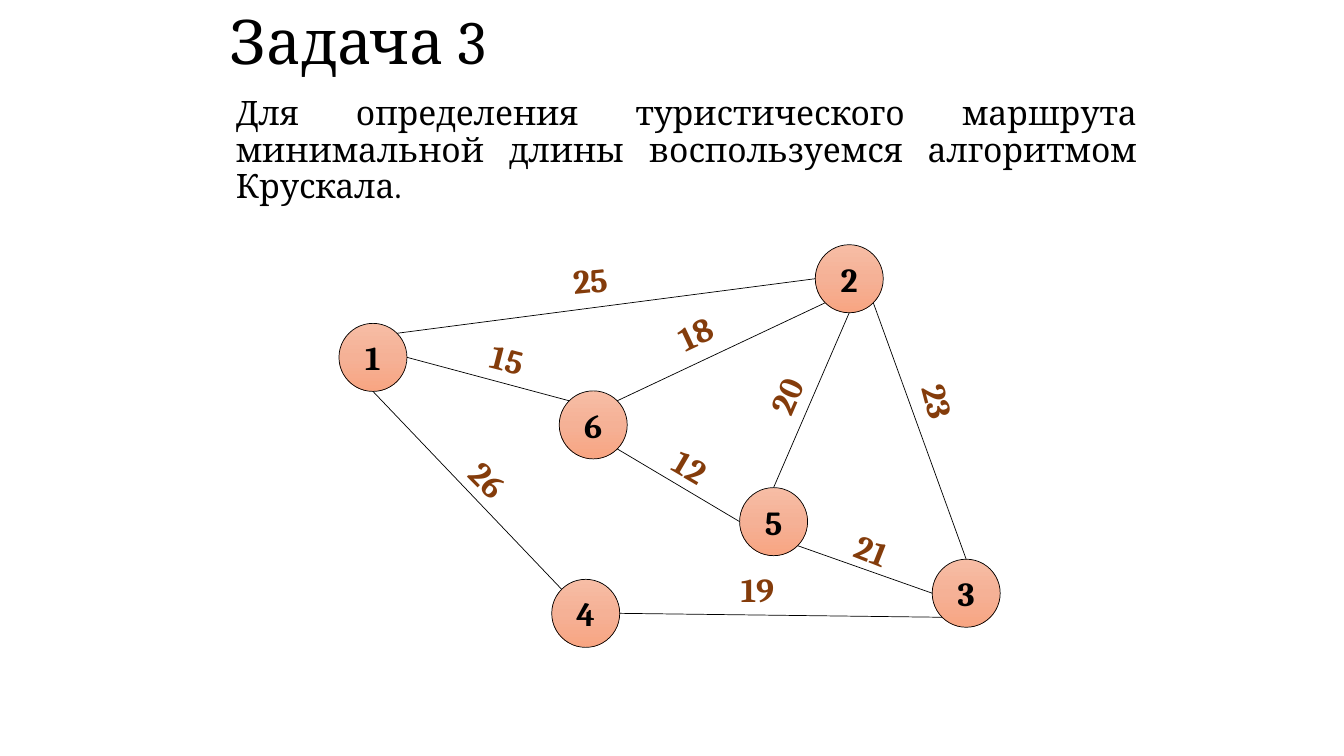
import copy
import math
from dataclasses import dataclass

import pptx
import pptx.dml.color
import pptx.enum.shapes
import pptx.enum.text
import pptx.oxml
import pptx.oxml.ns
import pptx.shapes.group
import pptx.text.text
import pptx.util

SLIDE_WIDTH = pptx.util.Inches(13.33)
SLIDE_HEIGHT = pptx.util.Inches(7.5)
GRID = 100
FONT = "Cambria"
BLACK = "000000"
WEIGHT_COLOR = "843C0B"
CITY_GRADIENT = ("F7BDA5", "F5B196", "F8A582")
CITY_COLUMNS, CITY_ROWS = 5.06, 9
WEIGHT_COLUMNS, WEIGHT_ROWS = 4.5, 6.8

ALIGN = pptx.enum.text.PP_ALIGN
ANCHOR = pptx.enum.text.MSO_ANCHOR

# Clockwise angles of the points where a road meets a city's circle
RIGHT, BOTTOM_RIGHT, BOTTOM, BOTTOM_LEFT = 0, 45, 90, 135
LEFT, TOP_LEFT, TOP, TOP_RIGHT = 180, 225, 270, 315


@dataclass(frozen=True)
class City:
    column: float
    row: float


@dataclass(frozen=True)
class Road:
    start: int
    start_side: int
    end: int
    end_side: int
    weight: int
    weight_column: float
    weight_row: float
    weight_rotation: float


CITIES = {
    1: City(27.75, 47.27),
    6: City(44.14, 56.2),
    5: City(57.56, 69),
    2: City(63.19, 36.87),
    3: City(71.89, 78.47),
    4: City(43.58, 81.13),
}

ROADS = (
    Road(1, TOP_RIGHT, 2, LEFT, 25, 43.91, 37, -5.6),
    Road(6, TOP_RIGHT, 2, BOTTOM_LEFT, 18, 51.71, 44, -25.2),
    Road(6, TOP_LEFT, 1, RIGHT, 15, 37.76, 47.4, 14.4),
    Road(6, BOTTOM_RIGHT, 5, LEFT, 12, 51.38, 61.67, 30.5),
    Road(2, BOTTOM, 5, TOP, 20, 58.46, 52.33, -66.7),
    Road(2, BOTTOM_RIGHT, 3, TOP, 23, 69.83, 53.07, 75.3),
    Road(5, BOTTOM_RIGHT, 3, LEFT, 21, 64.88, 72.73, 21.6),
    Road(4, RIGHT, 3, BOTTOM_LEFT, 19, 56.36, 77.93, 0),
    Road(1, BOTTOM, 4, TOP_LEFT, 26, 36.34, 63.4, 45.2),
)


def columns(count: float) -> int:
    return round(SLIDE_WIDTH * count / GRID)


def rows(count: float) -> int:
    return round(SLIDE_HEIGHT * count / GRID)


def color(value: str) -> pptx.dml.color.RGBColor:
    return pptx.dml.color.RGBColor.from_string(value)


def centered_box(column: float, row: float, width: float, height: float) -> tuple[int, ...]:
    return (columns(column - width / 2), rows(row - height / 2),
            columns(width), rows(height))


def write(frame: pptx.text.text.TextFrame, text: str, *, size: float = 24,
          text_color: str = BLACK, bold: bool = False, align=ALIGN.CENTER,
          anchor=ANCHOR.MIDDLE, wrap: bool = True, line_spacing: float = 1,
          space_before: float = 0) -> None:
    frame.auto_size = pptx.enum.text.MSO_AUTO_SIZE.NONE
    frame.word_wrap = wrap
    frame.vertical_anchor = anchor
    paragraph = frame.paragraphs[0]
    paragraph.alignment = align
    paragraph.line_spacing = line_spacing
    paragraph.space_before = pptx.util.Pt(space_before)
    run = paragraph.add_run()
    run.text = text
    run.font.name = FONT
    run.font.size = pptx.util.Pt(size)
    run.font.bold = bold
    run.font.color.rgb = color(text_color)


def place(shape, column: float, row: float, width: float, height: float) -> None:
    shape.left, shape.top = columns(column), rows(row)
    shape.width, shape.height = columns(width), rows(height)


def remove_bullet(paragraph: pptx.text.text._Paragraph) -> None:
    properties = paragraph._p.get_or_add_pPr()
    properties.set("marL", "0")
    properties.set("indent", "0")
    properties.append(pptx.oxml.parse_xml(
        f'<a:buNone {pptx.oxml.ns.nsdecls("a")}/>'))


def fill_city(shape) -> None:
    """Fill downwards with three evenly spaced colours."""
    shape.fill.gradient()
    shape.fill.gradient_angle = 270
    stop_list = shape._element.spPr.find(".//" + pptx.oxml.ns.qn("a:gsLst"))
    stop_list.insert(1, copy.deepcopy(stop_list[0]))
    stops = shape.fill.gradient_stops
    for index, (stop, value) in enumerate(zip(stops, CITY_GRADIENT)):
        stop.position = index / (len(CITY_GRADIENT) - 1)
        stop.color.rgb = color(value)


def outline(shape) -> None:
    shape.line.color.rgb = color(BLACK)
    shape.line.width = pptx.util.Pt(0.5)


def draw_city(graph: pptx.shapes.group.GroupShape, number: int, city: City) -> None:
    circle = graph.shapes.add_shape(
        pptx.enum.shapes.MSO_SHAPE.OVAL,
        *centered_box(city.column, city.row, CITY_COLUMNS, CITY_ROWS))
    circle.shadow.inherit = False
    fill_city(circle)
    outline(circle)
    write(circle.text_frame, str(number), bold=True, wrap=False)


def road_end(city: City, side: int) -> tuple[int, int]:
    angle = math.radians(side)
    return (columns(city.column + CITY_COLUMNS / 2 * math.cos(angle)),
            rows(city.row + CITY_ROWS / 2 * math.sin(angle)))


def draw_road(graph: pptx.shapes.group.GroupShape, road: Road) -> None:
    line = graph.shapes.add_connector(
        pptx.enum.shapes.MSO_CONNECTOR.STRAIGHT,
        *road_end(CITIES[road.start], road.start_side),
        *road_end(CITIES[road.end], road.end_side))
    outline(line)
    line._element.spPr.append(pptx.oxml.parse_xml(
        f'<a:effectLst {pptx.oxml.ns.nsdecls("a")}/>'))


def draw_weight(graph: pptx.shapes.group.GroupShape, road: Road) -> None:
    label = graph.shapes.add_textbox(*centered_box(
        road.weight_column, road.weight_row, WEIGHT_COLUMNS, WEIGHT_ROWS))
    label.rotation = road.weight_rotation
    write(label.text_frame, str(road.weight), text_color=WEIGHT_COLOR,
          bold=True, wrap=False)


def main() -> None:
    presentation = pptx.Presentation()
    presentation.slide_width = SLIDE_WIDTH
    presentation.slide_height = SLIDE_HEIGHT
    slide = presentation.slides.add_slide(presentation.slide_layouts[1])

    title, task = slide.placeholders
    place(title, 16.35, 0.67, 67.5, 10.53)
    write(title.text_frame, "Задача 3", size=44, align=ALIGN.LEFT, line_spacing=0.9)
    place(task, 16.8, 12.13, 68.55, 27.33)
    write(task.text_frame,
          "Для определения туристического маршрута минимальной длины "
          "воспользуемся алгоритмом Крускала.",
          align=ALIGN.JUSTIFY, anchor=ANCHOR.TOP, line_spacing=0.9, space_before=10)
    remove_bullet(task.text_frame.paragraphs[0])

    graph = slide.shapes.add_group_shape()
    for number, city in CITIES.items():
        draw_city(graph, number, city)
    for road in ROADS:
        draw_road(graph, road)
    for road in ROADS:
        draw_weight(graph, road)

    presentation.save("out.pptx")


if __name__ == "__main__":
    main()
